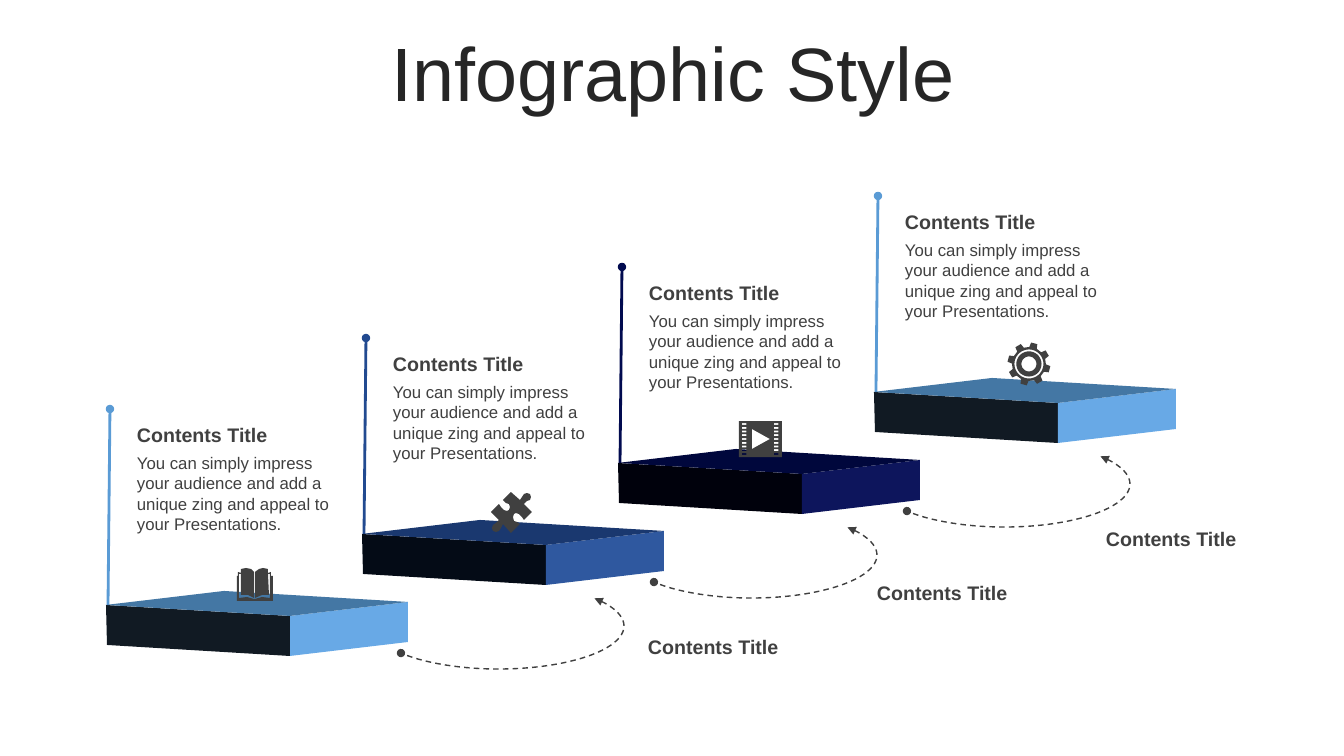
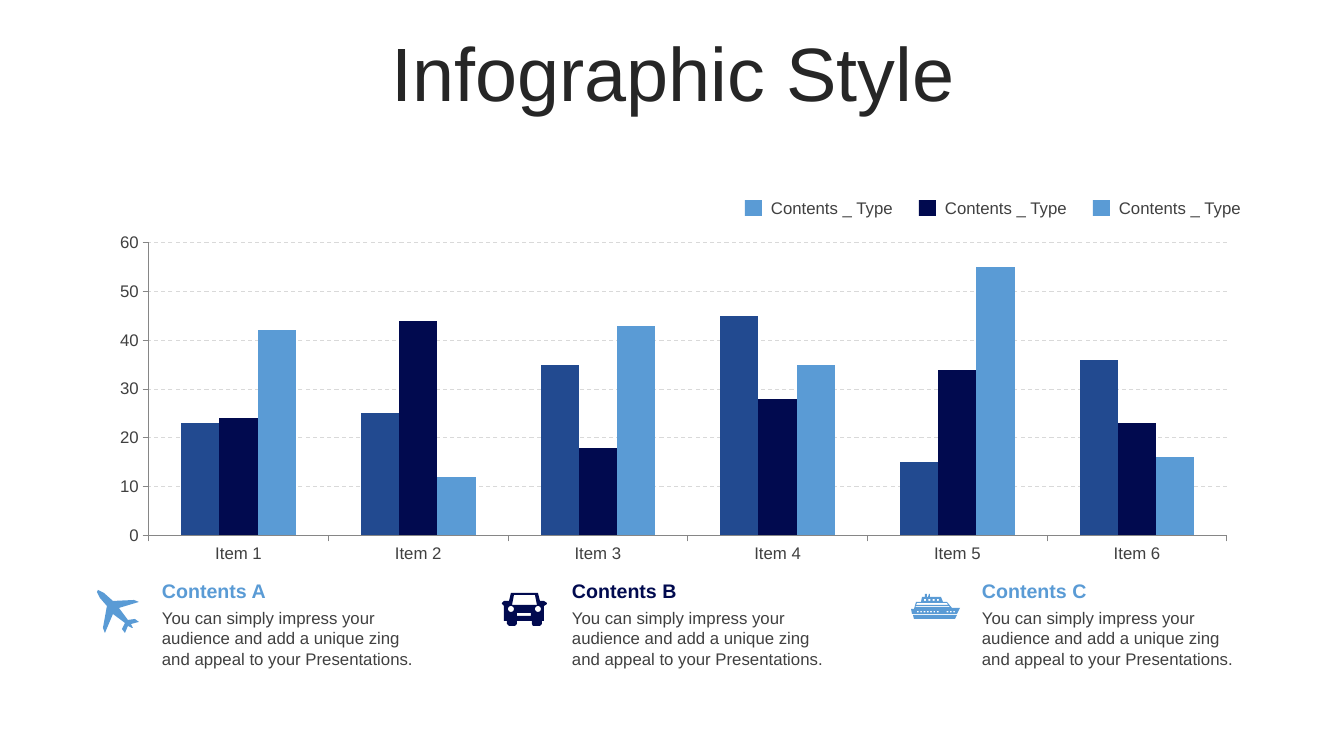
from dataclasses import dataclass
from math import cos, pi, sin

from lxml import etree
from pptx import Presentation
from pptx.chart import data as chartdata
from pptx.dml.color import RGBColor
from pptx.enum import chart as charts, dml, shapes, text
from pptx.oxml import ns
from pptx.util import Emu, Pt

EMU_PER_PX = 914400 / 100.8
FINE = 10  # outline points are kept to a tenth of a px
BODY = ("You can simply impress your audience and add a unique zing "
        "and appeal to your Presentations.")


@dataclass(frozen=True)
class Theme:
    font: str = "Arial"
    heading: str = "262626"
    ink: str = "404040"
    sky: str = "5A9BD5"
    blue: str = "224A90"
    navy: str = "010A4F"
    grid: str = "D9D9D9"
    axis: str = "868686"
    title_size: int = 54
    subtitle_size: int = 14
    body_size: int = 12


THEME = Theme()
# Front, right and top face of a block, by its base colour
FACES = {
    THEME.sky: ("111A23", "68A9E6", "4477A4"),
    THEME.blue: ("040B16", "2F589F", "1A386F"),
    THEME.navy: ("00010C", "0D155C", "00073C"),
}


def px(length):
    return Emu(round(length * EMU_PER_PX))


def rgb(value):
    return RGBColor.from_string(value)


def style_font(font, size, color, bold=False):
    font.name = THEME.font
    font.size = Pt(size)
    font.bold = bold
    font.color.rgb = rgb(color)


def add_text(page, wording, left, top, width, height, size=THEME.body_size,
             color=THEME.ink, bold=False, middle=False):
    box = page.shapes.add_textbox(px(left), px(top), px(width), px(height))
    frame = box.text_frame
    frame.word_wrap = True
    anchors = text.MSO_ANCHOR
    frame.vertical_anchor = anchors.MIDDLE if middle else anchors.TOP
    para = frame.paragraphs[0]
    para.text = wording
    style_font(para.font, size, color, bold)
    return para


def add_subtitle(page, wording, left, top, width, color=THEME.ink):
    add_text(page, wording, left, top, width, 34, THEME.subtitle_size, color, bold=True)


def add_title(page):
    para = add_text(page, "Infographic Style", 35, 37, 1276, 80,
                    THEME.title_size, THEME.heading, middle=True)
    para.alignment = text.PP_ALIGN.CENTER
    para.line_spacing = 0.9


def paint(shape, color):
    shape.shadow.inherit = False
    shape.fill.solid()
    shape.fill.fore_color.rgb = rgb(color)
    shape.line.fill.background()


def add_outline(page, contours, color, left=0, top=0):
    """Fill closed contours as one shape; a contour inside another is a hole."""
    builder = None
    for contour in contours:
        points = [((left + x) * FINE, (top + y) * FINE) for x, y in contour]
        if builder is None:
            builder = page.shapes.build_freeform(*points[0], scale=EMU_PER_PX / FINE)
        else:
            builder.move_to(*points[0])
        builder.add_line_segments(points[1:], close=True)
    paint(builder.convert_to_shape(), color)


def add_line_ends(line, **ends):
    for tag, kind in ends.items():
        etree.SubElement(line._get_or_add_ln(), ns.qn(f"a:{tag}"), type=kind)


def add_pin(page, start, end, color):
    pin = page.shapes.add_connector(shapes.MSO_CONNECTOR.STRAIGHT, *map(px, start + end))
    pin.line.color.rgb = rgb(color)
    pin.line.width = Pt(2)
    add_line_ends(pin.line, tailEnd="oval")
    etree.SubElement(pin._element.spPr, ns.qn("a:effectLst"))


def add_arc_arrow(page, left, top):
    arc = page.shapes.add_shape(shapes.MSO_SHAPE.ARC, px(left), px(top), px(251), px(86))
    arc.shadow.inherit = False
    for index, degrees in enumerate((343.9, 164.5)):
        arc.adjustments[index] = degrees * 0.6
    arc.fill.background()
    arc.line.color.rgb = rgb(THEME.ink)
    arc.line.width = Pt(1)
    arc.line.dash_style = dml.MSO_LINE.DASH
    add_line_ends(arc.line, headEnd="triangle", tailEnd="oval")


def add_block(page, left, top, color):
    """Draw a slab in perspective from its front, right and top faces."""
    back_left, back_right = (118, 0), (302, 11)
    front_left, front_right = (0, 14), (184, 25)
    low_left, low_front, low_right = (1, 54), (184, 65), (302, 51)
    outlines = (
        [front_left, front_right, low_front, low_left],
        [front_right, back_right, low_right, low_front],
        [front_left, back_left, back_right, front_right],
    )
    for outline, shade in zip(outlines, FACES[color]):
        add_outline(page, [outline], shade, left, top)


def box(x, y, width, height):
    return [(x, y), (x + width, y), (x + width, y + height), (x, y + height)]


def polar(x, y, radius, degrees):
    angle = degrees * pi / 180
    return x + radius * cos(angle), y + radius * sin(angle)


def circle(x, y, radius):
    return [polar(x, y, radius, degrees) for degrees in range(0, 360, 10)]


def book_icon():
    return [[
        (17, 31), (18, 31), (25, 29), (33, 30), (33, 6), (31, 6), (32, 27), (25, 27),
        (18, 30), (18, 4), (22, 1), (26, 0), (31, 1), (31, 5), (34, 4), (34, 8),
        (36, 8), (36, 33), (0, 33), (0, 8), (1, 8), (1, 4), (4, 5), (4, 1), (9, 0),
        (14, 1), (17, 4), (17, 30), (11, 27), (4, 27), (4, 6), (2, 6), (2, 30), (10, 29),
    ]]


def puzzle_icon():
    return [[
        (39, 2), (40, 5), (39, 8), (36, 9), (33, 12), (41, 20), (33, 28), (31, 25),
        (28, 22), (25, 21), (23, 22), (22, 25), (23, 29), (26, 30), (29, 32), (20, 41),
        (12, 32), (10, 36), (8, 39), (5, 40), (2, 39), (1, 36), (2, 33), (5, 31),
        (8, 28), (0, 20), (8, 12), (10, 15), (13, 18), (16, 19), (18, 18), (19, 15),
        (18, 12), (15, 11), (12, 8), (20, 0), (29, 8), (31, 5), (33, 2), (36, 1),
    ]]


def film_icon():
    holes = [box(x, 2 + 3.75 * row, 4.5, 2) for row in range(9) for x in (3, 35)]
    return [box(0, 0, 43, 36), [(13, 8), (13, 28), (31, 18)], *holes]


def gear_icon():
    tooth = ((-13, 17), (-8.5, 21.5), (8.5, 21.5), (13, 17))
    rim = [polar(21, 21, radius, 14.5 + 45 * index + turn)
           for index in range(8) for turn, radius in tooth]
    return [rim, *(circle(21, 21, radius) for radius in (14.5, 12.6, 7.5))]


def plane_icon():
    return [[
        (42, 32), (34, 34), (36, 38), (35, 38), (31, 36), (28, 43), (25, 39), (28, 33),
        (16, 24), (8, 43), (6, 38), (10, 16), (3, 8), (0, 2), (1, 0), (7, 3), (16, 11),
        (37, 10), (42, 12), (22, 18), (31, 30), (38, 29),
    ]]


def car_icon():
    body = [
        (9, 0), (36, 0), (38, 8), (42, 8), (45, 10), (45, 11), (42, 13), (42, 28),
        (40, 28), (40, 31), (38, 33), (31, 33), (30, 31), (30, 28), (15, 28), (15, 31),
        (13, 33), (7, 33), (5, 31), (5, 28), (2, 28), (2, 13), (0, 11), (0, 10),
        (2, 8), (7, 8),
    ]
    windscreen = [(12, 2), (10, 12), (35, 12), (33, 2)]
    return [body, windscreen, circle(9, 16, 3), circle(36, 16, 3), box(15, 20, 14, 3)]


def ship_icon():
    hull = [(2, 21), (46, 21), (44, 25), (3, 25)]
    decks = [
        (18, 0), (19, 0), (19, 3), (30, 3), (32, 8), (36, 8), (41, 14), (49, 14),
        (46, 20), (1, 20), (0, 15), (3, 15), (5, 8), (10, 8), (11, 3), (14, 3),
        (14, 0), (16, 0), (16, 3), (17, 3),
    ]
    strips = [[(5, 12), (4, 13), (39, 13), (38, 12)], [(6, 9), (5, 11), (37, 11), (36, 9)]]
    portholes = [box(6 + 3.3 * index, 17, 1.7, 1.5) for index in (*range(7), 9, 10, 11)]
    windows = [box(13 + 4.3 * index, 5, 2, 2) for index in range(4)]
    return [hull, decks, *strips, *portholes, *windows]


def add_steps_slide(deck):
    page = add_page(deck)
    steps = (
        (THEME.sky, book_icon, 237, 568),
        (THEME.blue, puzzle_icon, 491, 492),
        (THEME.navy, film_icon, 739, 421),
        (THEME.sky, gear_icon, 1008, 343),
    )
    for index, (color, icon, icon_left, icon_top) in enumerate(steps):
        across, up = 256 * index, 71 * index
        add_pin(page, (108 + across, 607 - up), (110 + across, 409 - up), color)
        add_block(page, 106 + across, 591 - up, color)
        add_text(page, BODY, 127 + across, 448 - up, 221, 92)
        add_subtitle(page, "Contents Title", 127 + across, 418 - up, 221)
        add_outline(page, icon(), THEME.ink, icon_left, icon_top)
    for index in range(len(steps) - 1):
        add_arc_arrow(page, 373 + 253 * index, 583 - 71 * index)
        add_subtitle(page, "Contents Title", 638 + 229 * index, 630 - 54 * index, 151)


def add_column_chart(page):
    data = chartdata.CategoryChartData()
    data.categories = [f"Item {number}" for number in range(1, 7)]
    data.add_series("Series 1", (23, 25, 35, 45, 15, 36))
    data.add_series("Series 2", (24, 44, 18, 28, 34, 23))
    data.add_series("Series 3", (42, 12, 43, 35, 55, 16))
    chart = page.shapes.add_chart(charts.XL_CHART_TYPE.COLUMN_CLUSTERED, px(97), px(227),
                                  px(1153), px(343), data).chart
    chart.has_legend = False
    chart.has_title = False
    style_font(chart.font, THEME.body_size, THEME.ink)
    plot = chart.plots[0]
    plot.gap_width = 170
    plot.overlap = 0
    plot.vary_by_categories = False
    for series, color in zip(plot.series, (THEME.blue, THEME.navy, THEME.sky)):
        series.format.fill.solid()
        series.format.fill.fore_color.rgb = rgb(color)
    for axis in (chart.category_axis, chart.value_axis):
        style_font(axis.tick_labels.font, THEME.body_size, THEME.ink)
        axis.major_tick_mark = charts.XL_TICK_MARK.OUTSIDE
        axis.format.line.color.rgb = rgb(THEME.axis)
        axis.format.line.width = Pt(0.75)
    scale = chart.value_axis
    scale.minimum_scale, scale.maximum_scale, scale.major_unit = 0, 60, 10
    scale.has_major_gridlines = True
    grid = scale.major_gridlines.format.line
    grid.color.rgb = rgb(THEME.grid)
    grid.width = Pt(0.75)
    grid.dash_style = dml.MSO_LINE.DASH


def add_chart_slide(deck):
    page = add_page(deck)
    add_column_chart(page)
    columns = (
        ("Contents A", THEME.sky, plane_icon, 97, 590),
        ("Contents B", THEME.navy, car_icon, 502, 593),
        ("Contents C", THEME.sky, ship_icon, 911, 594),
    )
    for index, (heading, color, icon, icon_left, icon_top) in enumerate(columns):
        left = 152 + 410 * index
        add_subtitle(page, heading, left, 574, 278, color)
        add_text(page, BODY, left, 603, 278, 72)
        add_outline(page, icon(), color, icon_left, icon_top)
        key_left = 745 + 174 * index
        key = page.shapes.add_shape(shapes.MSO_SHAPE.RECTANGLE, px(key_left), px(200),
                                    px(17), px(16))
        paint(key, color)
        add_text(page, "Contents _ Type", key_left + 16, 193, 144, 30, middle=True)


def add_page(deck):
    page = deck.slides.add_slide(deck.slide_layouts[6])
    add_title(page)
    return page


def main():
    deck = Presentation()
    deck.slide_width, deck.slide_height = px(1344), px(756)
    add_steps_slide(deck)
    add_chart_slide(deck)
    deck.save("out.pptx")


if __name__ == "__main__":
    main()
